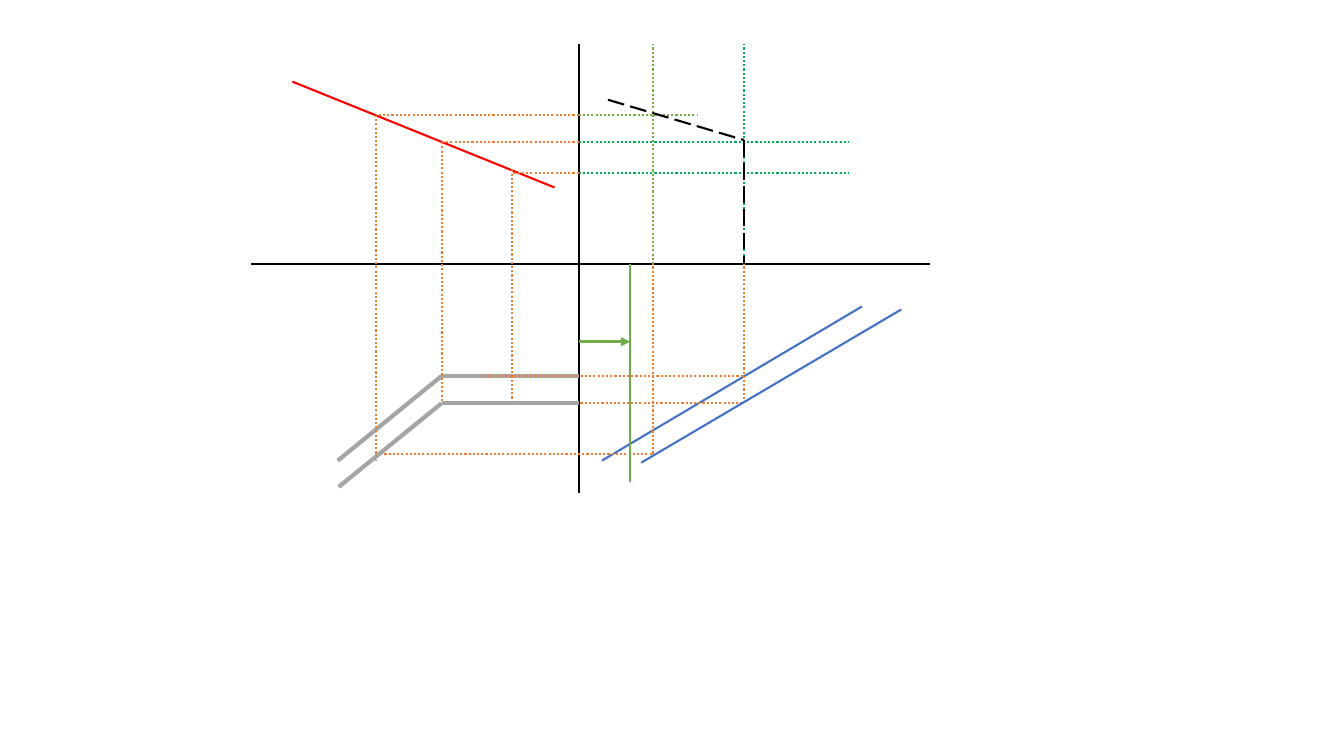
from lxml import etree
from pptx import Presentation
from pptx.dml.color import RGBColor
from pptx.enum.dml import MSO_LINE
from pptx.enum.shapes import MSO_CONNECTOR
from pptx.oxml.ns import qn
from pptx.util import Inches, Pt

BLACK = RGBColor(0x00, 0x00, 0x00)
RED = RGBColor(0xFF, 0x00, 0x00)
BLUE = RGBColor(0x44, 0x72, 0xC4)
GRAY = RGBColor(0xA5, 0xA5, 0xA5)
ORANGE = RGBColor(0xED, 0x7D, 0x31)
LIGHT_GREEN = RGBColor(0x70, 0xAD, 0x47)
GREEN = RGBColor(0x00, 0xB0, 0x50)

DOTTED = MSO_LINE.ROUND_DOT
DASHED = MSO_LINE.LONG_DASH

# Shared positions of the four-quadrant diagram
AXIS_X, AXIS_Y = 5.74, 2.62
HIGH, MIDDLE, LOW = 1.14, 1.41, 1.72
UPPER, LOWER, BOTTOM = 3.73, 4, 4.5
LEFT, KINK, INNER = 3.73, 4.38, 5.08
NEAR, FAR = 6.48, 7.38
TOP, GUIDE_END = 0.44, 8.42
SHIFT = 6.25

deck = Presentation()
deck.slide_width, deck.slide_height = Inches(13.33), Inches(7.5)
page = deck.slides.add_slide(deck.slide_layouts[6])


def draw_line(x1, y1, x2, y2, color, width=1.5, dash=None):
    line = page.shapes.add_connector(
        MSO_CONNECTOR.STRAIGHT, Inches(x1), Inches(y1), Inches(x2), Inches(y2))
    line.line.color.rgb = color
    line.line.width = Pt(width)
    if dash is not None:
        line.line.dash_style = dash
    etree.SubElement(line._element.spPr, qn("a:effectLst"))
    return line


# Axes
draw_line(AXIS_X, TOP, AXIS_X, 4.89, BLACK)
draw_line(2.49, AXIS_Y, 9.22, AXIS_Y, BLACK)

# First curve of each quadrant
draw_line(5.97, 4.57, 8.55, 3.04, BLUE)
draw_line(2.9, 0.81, 5.5, 1.86, RED)
draw_line(3.35, 4.57, KINK, UPPER, GRAY, 3)
draw_line(KINK, UPPER, AXIS_X, UPPER, GRAY, 3)

# Orange guides
orange_guides = [
    (KINK, LOWER, FAR, LOWER),
    (AXIS_X, HIGH, LEFT, HIGH),
    (LEFT, HIGH, LEFT, 4.57),
    (LEFT, BOTTOM, NEAR, BOTTOM),
    (NEAR, BOTTOM, NEAR, AXIS_Y),
    (AXIS_X, MIDDLE, KINK, MIDDLE),
    (KINK, MIDDLE, KINK, LOWER),
    (4.8, UPPER, FAR, UPPER),
    (FAR, LOWER, FAR, AXIS_Y),
    (INNER, 1.68, INNER, LOWER),
    (AXIS_X, LOW, INNER, LOW),
]
for guide in orange_guides:
    draw_line(*guide, ORANGE, dash=DOTTED)

# Green guides of the upper right quadrant
draw_line(AXIS_X, HIGH, 6.91, HIGH, LIGHT_GREEN, dash=DOTTED)
draw_line(NEAR, AXIS_Y, NEAR, TOP, LIGHT_GREEN, dash=DOTTED)
for level in (MIDDLE, LOW):
    draw_line(AXIS_X, level, GUIDE_END, level, GREEN, dash=DOTTED)
draw_line(FAR, AXIS_Y, FAR, TOP, GREEN, dash=DOTTED)

# Resulting dashed curve
draw_line(6.03, 0.99, FAR, 1.39, BLACK, dash=DASHED)
draw_line(FAR, 1.39, FAR, AXIS_Y, BLACK, dash=DASHED)

# Shifted curves
draw_line(3.36, 4.83, KINK, LOWER, GRAY, 3)
draw_line(KINK, LOWER, AXIS_X, LOWER, GRAY, 3)
draw_line(6.36, 4.59, 8.94, 3.07, BLUE)

# Shift of the vertical axis
draw_line(SHIFT, AXIS_Y, SHIFT, 4.78, LIGHT_GREEN)
arrow = draw_line(AXIS_X, 3.39, SHIFT, 3.39, LIGHT_GREEN, 2.25)
etree.SubElement(arrow.line._get_or_add_ln(), qn("a:tailEnd"), type="triangle")

deck.save("out.pptx")
